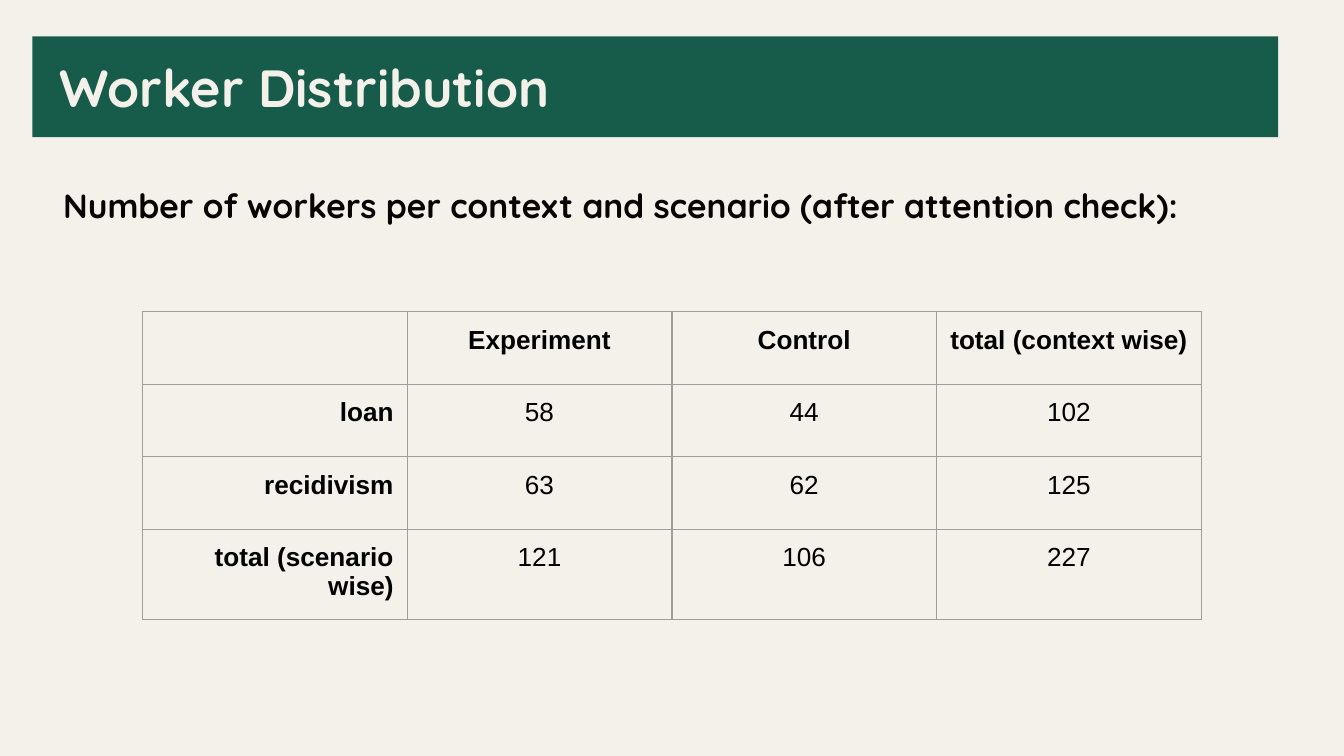
from lxml import etree
from pptx import Presentation
from pptx import util as u
from pptx.dml.color import RGBColor
from pptx.enum import text
from pptx.oxml import ns

CREAM, GREEN, INK, BLACK, GREY = "F3F1EA", "175C4A", "080404", "000000", "9E9E9E"
HEADING_FONT, TABLE_FONT = "Quicksand", "Arial"

ROWS = [
    ["", "Experiment", "Control", "total (context wise)"],
    ["loan", "58", "44", "102"],
    ["recidivism", "63", "62", "125"],
    ["total (scenario wise)", "121", "106", "227"],
]


def rgb(color):
    return RGBColor.from_string(color)


class Deck:
    def __init__(self, width, height):
        self.prs = Presentation()
        self.prs.slide_width = u.Inches(width)
        self.prs.slide_height = u.Inches(height)

    def add_slide(self):
        title_only = self.prs.slide_layouts[5]
        self.s = self.prs.slides.add_slide(title_only)
        fill = self.s.background.fill
        fill.solid()
        fill.fore_color.rgb = rgb(CREAM)

    def style(self, p, font, size, color, bold, align):
        p.alignment = align
        for r in p.runs:
            r.font.name = font
            r.font.size = u.Pt(size)
            r.font.bold = bold
            r.font.color.rgb = rgb(color)

    def set_margins(self, box, left, other):
        box.margin_left = u.Inches(left)
        box.margin_right = box.margin_top = box.margin_bottom = u.Inches(other)

    def title(self, wording, x, y, w, h):
        sp = self.s.shapes.title
        sp.left, sp.top, sp.width, sp.height = map(u.Inches, (x, y, w, h))
        sp.fill.solid()
        sp.fill.fore_color.rgb = rgb(GREEN)
        tf = sp.text_frame
        tf.text = wording
        tf.auto_size = text.MSO_AUTO_SIZE.NONE
        tf.vertical_anchor = text.MSO_ANCHOR.MIDDLE
        self.set_margins(tf, 0.2, 0.2)
        self.style(tf.paragraphs[0], HEADING_FONT, 28, CREAM, True, text.PP_ALIGN.LEFT)

    def body(self, wording, x, y, w, h):
        sp = self.s.shapes.add_textbox(*map(u.Inches, (x, y, w, h)))
        tf = sp.text_frame
        tf.word_wrap = True
        self.set_margins(tf, 0.07, 0)
        p = tf.paragraphs[0]
        p.text = wording
        p.line_spacing = 1.15
        p.space_after = u.Pt(16)
        self.style(p, HEADING_FONT, 18, INK, True, text.PP_ALIGN.LEFT)

    def border(self, cell, color, width):
        tc_pr = cell._tc.get_or_add_tcPr()
        for i, side in enumerate(("lnL", "lnR", "lnT", "lnB")):
            ln = etree.Element(ns.qn(f"a:{side}"), w=str(u.Pt(width)))
            fill = etree.SubElement(ln, ns.qn("a:solidFill"))
            etree.SubElement(fill, ns.qn("a:srgbClr"), val=color)
            tc_pr.insert(i, ln)

    def table(self, rows, x, y, col_width, row_height):
        """Add a grid whose first row and first column are bold headings."""
        n_rows, n_cols = len(rows), len(rows[0])
        size = (col_width * n_cols, row_height * n_rows)
        frame = self.s.shapes.add_table(n_rows, n_cols, *map(u.Inches, (x, y, *size)))
        table = frame.table
        table.first_row = table.horz_banding = False
        for i, row in enumerate(rows):
            for j, wording in enumerate(row):
                cell = table.cell(i, j)
                cell.text = wording
                cell.fill.background()
                self.set_margins(cell, 0.1, 0.1)
                self.border(cell, GREY, 0.75)
                align = text.PP_ALIGN.CENTER if j else text.PP_ALIGN.RIGHT
                self.style(cell.text_frame.paragraphs[0], TABLE_FONT, 14, BLACK,
                           i == 0 or j == 0, align)


def main():
    deck = Deck(10, 10 * 9 / 16)
    deck.add_slide()
    deck.title("Worker Distribution", 0.24, 0.27, 9.27, 0.75)
    deck.body("Number of workers per context and scenario (after attention check):",
              0.4, 1.33, 9.1, 4.15)
    deck.table(ROWS, 1.06, 2.32, 1.97, 0.54)
    deck.prs.save("out.pptx")


if __name__ == "__main__":
    main()
